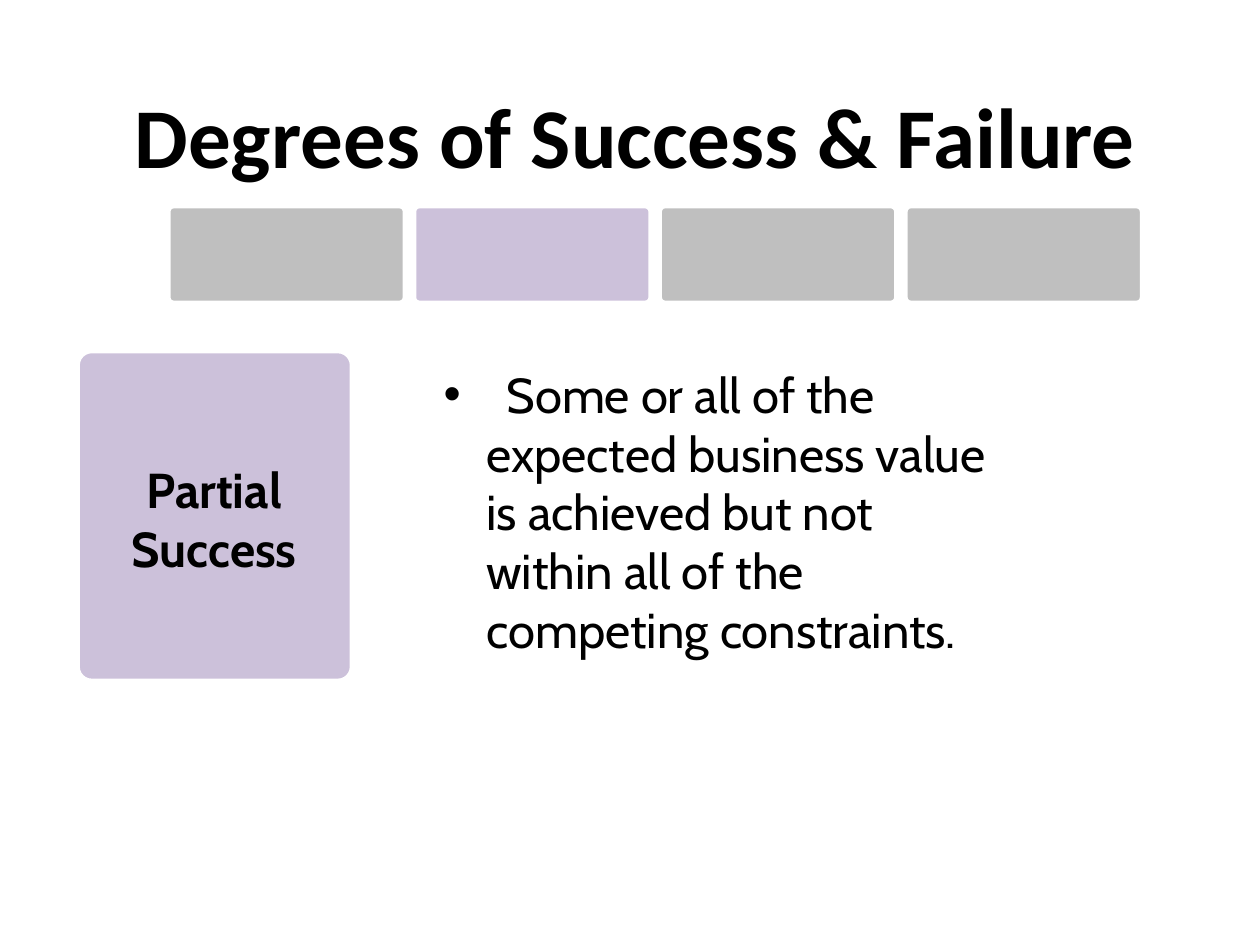
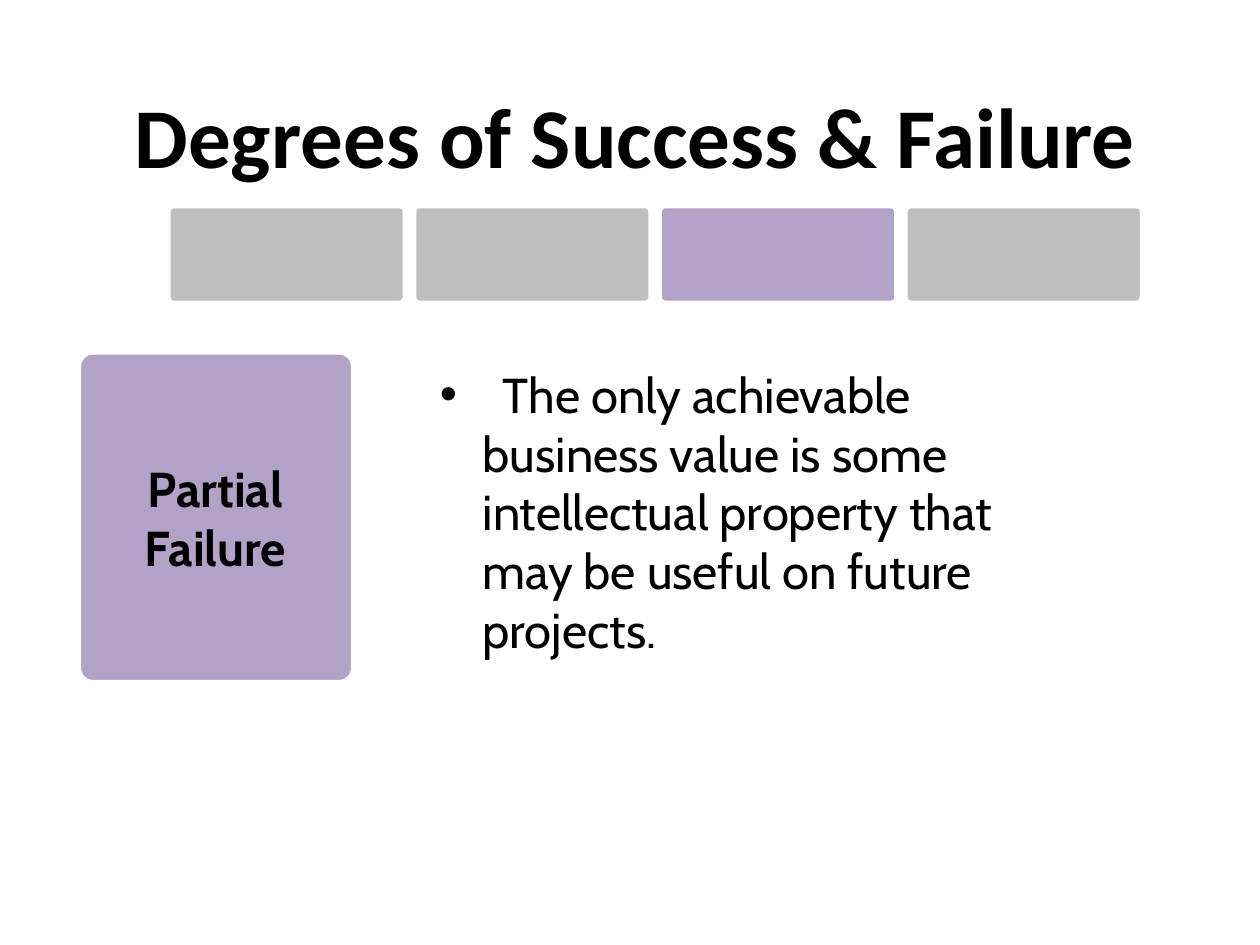
from lxml.etree import SubElement
from pptx import Presentation
from pptx.dml.color import RGBColor
from pptx.enum.shapes import MSO_SHAPE
from pptx.enum.text import MSO_ANCHOR, MSO_AUTO_SIZE, PP_ALIGN
from pptx.oxml.ns import qn
from pptx.util import Inches, Pt

BLACK = RGBColor(0x00, 0x00, 0x00)
WHITE = RGBColor(0xFF, 0xFF, 0xFF)
GREY = RGBColor(0xBF, 0xBF, 0xBF)
LILAC = RGBColor(0xCC, 0xC1, 0xDA)
PURPLE = RGBColor(0xB3, 0xA2, 0xC7)

TITLE = "Degrees of Success & Failure"
DEGREES = [
    {
        "label": ["Partial", "Success"],
        "lines": ["Some or all of the", "expected business value",
                  "is achieved but not", "within all of the",
                  "competing constraints."],
        "color": LILAC,
        "active": 1,
        "card": (0.62, 2.79, 2.17, 2.61),
        "label_box": (0.66, 3.6, 2.08, 1.04),
        "body_box": (3.42, 2.84, 5.53, 2.93),
    },
    {
        "label": ["Partial", "Failure"],
        "lines": ["The only achievable", "business value is some",
                  "intellectual property that", "may be useful on future",
                  "projects."],
        "color": PURPLE,
        "active": 2,
        "card": (0.63, 2.8, 2.17, 2.61),
        "label_box": (0.67, 3.59, 2.08, 1.04),
        "body_box": (3.39, 2.84, 5.7, 2.46),
    },
]

TITLE_BOX = (0.83, 0.46, 8.42, 1.21)
STEP_COUNT, STEP_LEFT, STEP_TOP, STEP_PITCH = 4, 1.34, 1.64, 1.95
STEP_SIZE = (1.87, 0.76)
BULLET_INDENT, LINE_INDENT = 0.5, 0.34

TITLE_FONT = {"name": "Calibri", "size": Pt(48.6), "bold": True}
LABEL_FONT = {"name": "Cabin", "size": Pt(28), "bold": True}
BODY_FONT = {"name": "Cabin", "size": Pt(28), "bold": False}


def place(sp, box):
    for side, value in zip(("left", "top", "width", "height"), box):
        setattr(sp, side, Inches(value))


def write(tf, lines, font, align, anchor=MSO_ANCHOR.TOP):
    tf.word_wrap = True
    tf.auto_size = MSO_AUTO_SIZE.NONE
    tf.vertical_anchor = anchor
    for i, line in enumerate(lines):
        p = tf.paragraphs[0] if i == 0 else tf.add_paragraph()
        p.alignment = align
        p.space_before = Pt(0)
        r = p.add_run()
        r.text = line
        for key, value in font.items():
            setattr(r.font, key, value)
        r.font.color.rgb = BLACK


def add_panel(shapes, box, color):
    sp = shapes.add_shape(MSO_SHAPE.ROUNDED_RECTANGLE, *map(Inches, box))
    sp.adjustments[0] = 0.05
    sp.shadow.inherit = False
    sp.fill.solid()
    sp.fill.fore_color.rgb = color
    sp.line.color.rgb = WHITE
    sp.line.width = Pt(2)


def set_bullets(tf):
    for i, p in enumerate(tf.paragraphs):
        pPr = p._p.get_or_add_pPr()
        margin, hang = (BULLET_INDENT, -BULLET_INDENT) if i == 0 else (LINE_INDENT, 0)
        pPr.set("marL", str(Inches(margin)))
        pPr.set("indent", str(Inches(hang)))
        if i == 0:
            SubElement(pPr, qn("a:buFont")).set("typeface", "Arial")
            SubElement(pPr, qn("a:buChar")).set("char", "•")
        else:
            SubElement(pPr, qn("a:buNone"))


def add_steps(s, active, color):
    group = s.shapes.add_group_shape()
    for i in range(STEP_COUNT):
        box = (STEP_LEFT + i * STEP_PITCH, STEP_TOP, *STEP_SIZE)
        add_panel(group.shapes, box, color if i == active else GREY)


def add_degree(prs, degree):
    s = prs.slides.add_slide(prs.slide_layouts[1])
    title, body = s.shapes.title, s.placeholders[1]
    place(title, TITLE_BOX)
    write(title.text_frame, [TITLE], TITLE_FONT, PP_ALIGN.CENTER, MSO_ANCHOR.MIDDLE)

    add_panel(s.shapes, degree["card"], degree["color"])
    label = s.shapes.add_textbox(*map(Inches, degree["label_box"]))
    write(label.text_frame, degree["label"], LABEL_FONT, PP_ALIGN.CENTER)

    place(body, degree["body_box"])
    write(body.text_frame, degree["lines"], BODY_FONT, PP_ALIGN.LEFT)
    set_bullets(body.text_frame)
    add_steps(s, degree["active"], degree["color"])


def main():
    prs = Presentation()
    prs.slide_width, prs.slide_height = Inches(10), Inches(7.5)
    for degree in DEGREES:
        add_degree(prs, degree)
    prs.save("out.pptx")


if __name__ == "__main__":
    main()
